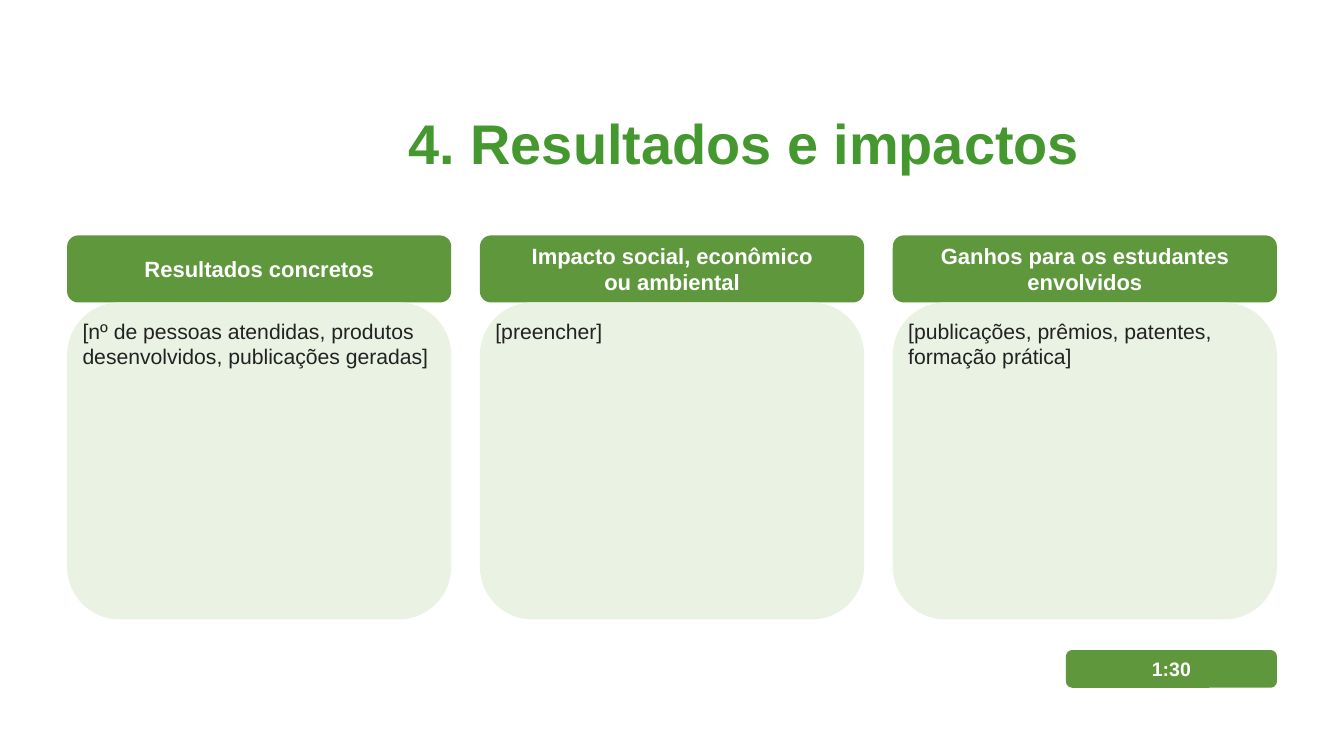
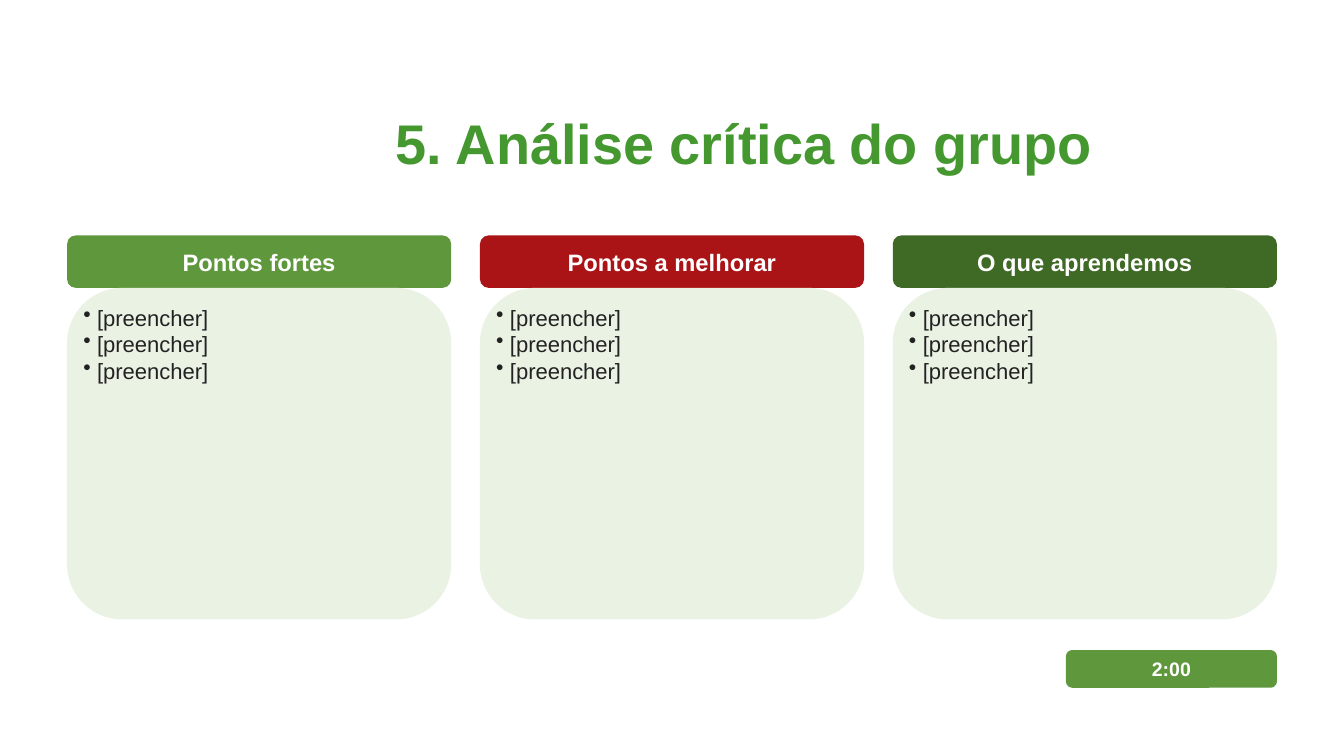
from dataclasses import dataclass

from lxml.etree import SubElement
from pptx import Presentation
from pptx.dml.color import RGBColor
from pptx.enum.shapes import MSO_SHAPE
from pptx.enum.text import MSO_ANCHOR, MSO_AUTO_SIZE, PP_ALIGN
from pptx.oxml.ns import qn
from pptx.util import Pt


@dataclass(frozen=True)
class Theme:
    font: str = "Arial"
    title_green: str = "45982F"
    green: str = "5F973C"
    dark_green: str = "3F6A26"
    red: str = "AA1416"
    panel: str = "EAF2E4"
    ink: str = "222222"
    white: str = "FFFFFF"
    title_size: float = 33
    timer_size: float = 11.5


theme = Theme()

SLIDE_WIDTH, SLIDE_HEIGHT = 793.44, 446.4
COLUMN_LEFT, COLUMN_WIDTH, COLUMN_GAP = 39.6, 226.8, 16.92
HEADER_TOP, PANEL_BOTTOM = 139, 365.8
TITLE_BOX = (124.6, 49.7, 629.3, 69.1)
TIMER_BOX = (629.3, 383.8, 124.6, 22.3)
BULLET_INDENT = 8.2

slides_content = [
    {
        "title": "4. Resultados e impactos",
        "timer": "1:30",
        "header_height": 39.6,
        "header_size": 13,
        "panel_size": 12.5,
        "bulleted": False,
        "columns": [
            ("Resultados concretos", theme.green,
             ["[nº de pessoas atendidas, produtos\vdesenvolvidos, publicações geradas]"]),
            ("Impacto social, econômico\vou ambiental", theme.green, ["[preencher]"]),
            ("Ganhos para os estudantes\venvolvidos", theme.green,
             ["[publicações, prêmios, patentes,\vformação prática]"]),
        ],
    },
    {
        "title": "5. Análise crítica do grupo",
        "timer": "2:00",
        "header_height": 31,
        "header_size": 14,
        "panel_size": 13,
        "bulleted": True,
        "columns": [
            ("Pontos fortes", theme.green, ["[preencher]"] * 3),
            ("Pontos a melhorar", theme.red, ["[preencher]"] * 3),
            ("O que aprendemos", theme.dark_green, ["[preencher]"] * 3),
        ],
    },
]


def write_text(shape, lines, size, color, bold=True, align=PP_ALIGN.CENTER,
               anchor=MSO_ANCHOR.MIDDLE, bulleted=False):
    """Fill a shape with one paragraph per line, without inner margins."""
    frame = shape.text_frame
    frame_format = {
        "text": "\n".join(lines),
        "word_wrap": True,
        "auto_size": MSO_AUTO_SIZE.NONE,
        "vertical_anchor": anchor,
        "margin_left": 0,
        "margin_top": 0,
        "margin_right": 0,
        "margin_bottom": 0,
    }
    for name, value in frame_format.items():
        setattr(frame, name, value)
    font_format = {"name": theme.font, "size": Pt(size), "bold": bold}
    for paragraph in frame.paragraphs:
        paragraph.alignment = align
        if bulleted:
            properties = paragraph._p.get_or_add_pPr()
            properties.set("marL", str(Pt(BULLET_INDENT)))
            properties.set("indent", str(-Pt(BULLET_INDENT)))
            SubElement(properties, qn("a:buChar"), char="•")
        for run in paragraph.runs:
            for name, value in font_format.items():
                setattr(run.font, name, value)
            run.font.color.rgb = RGBColor.from_string(color)


def add_rounded_box(slide, box, fill):
    shape = slide.shapes.add_shape(
        MSO_SHAPE.ROUNDED_RECTANGLE, *(Pt(length) for length in box))
    shape.shadow.inherit = False
    shape.fill.solid()
    shape.fill.fore_color.rgb = RGBColor.from_string(fill)
    shape.line.fill.background()
    return shape


presentation = Presentation()
presentation.slide_width = Pt(SLIDE_WIDTH)
presentation.slide_height = Pt(SLIDE_HEIGHT)
title_only_layout = presentation.slide_layouts[5]

for content in slides_content:
    slide = presentation.slides.add_slide(title_only_layout)

    title = slide.shapes.title
    for name, length in zip(("left", "top", "width", "height"), TITLE_BOX):
        setattr(title, name, Pt(length))
    write_text(title, [content["title"]], theme.title_size, theme.title_green)

    header_height = content["header_height"]
    panel_top = HEADER_TOP + header_height
    for index, (heading, color, lines) in enumerate(content["columns"]):
        left = COLUMN_LEFT + index * (COLUMN_WIDTH + COLUMN_GAP)
        header = add_rounded_box(
            slide, (left, HEADER_TOP, COLUMN_WIDTH, header_height), color)
        write_text(header, [heading], content["header_size"], theme.white)

        panel = add_rounded_box(
            slide, (left, panel_top, COLUMN_WIDTH, PANEL_BOTTOM - panel_top), theme.panel)
        write_text(panel, lines, content["panel_size"], theme.ink, bold=False,
                   align=PP_ALIGN.LEFT, anchor=MSO_ANCHOR.TOP,
                   bulleted=content["bulleted"])

    timer = add_rounded_box(slide, TIMER_BOX, theme.green)
    write_text(timer, [content["timer"]], theme.timer_size, theme.white)

presentation.save("out.pptx")
